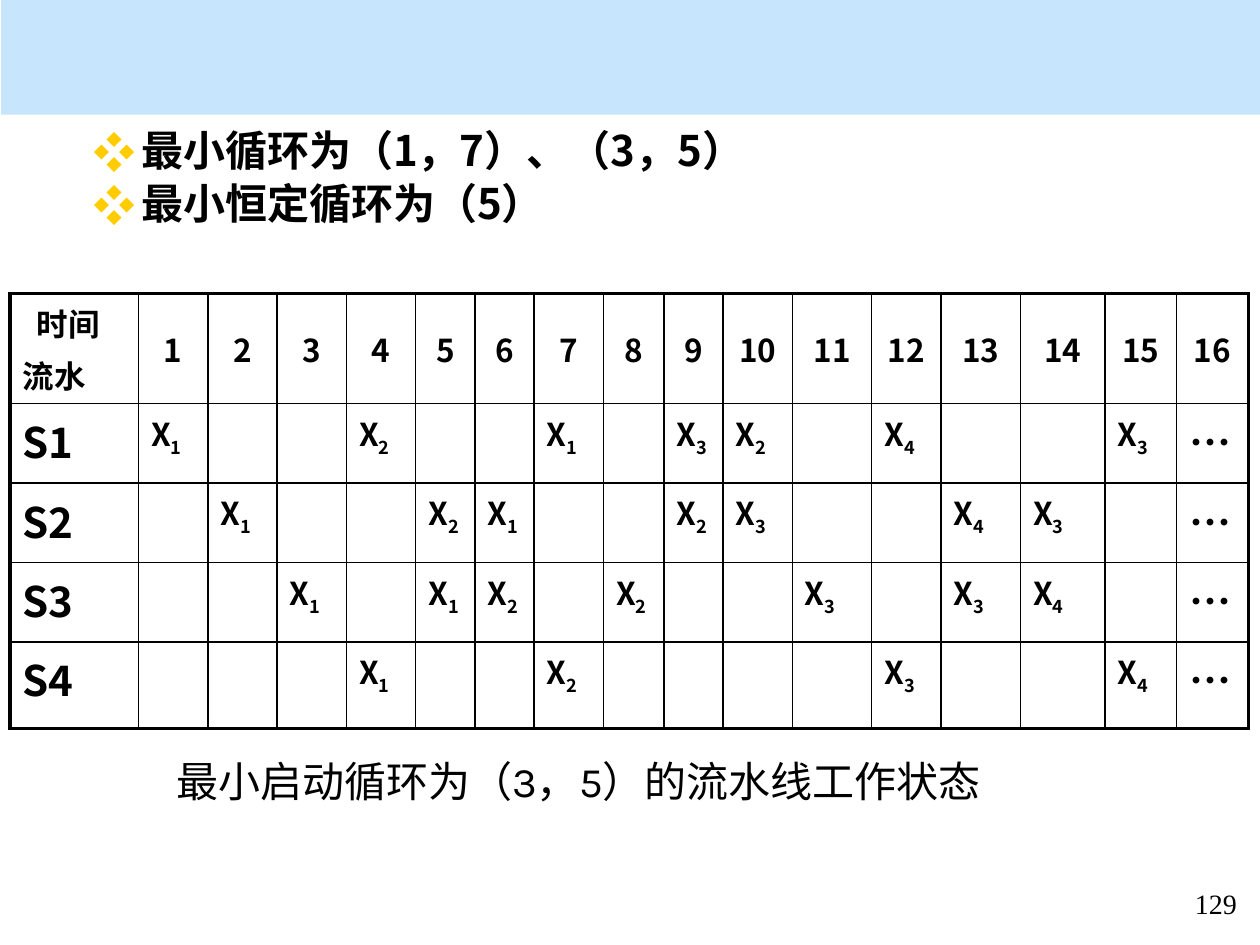
"""Build a slide showing the pipeline schedule for the start cycle (3, 5)."""
from lxml.etree import SubElement
from pptx import Presentation
from pptx.dml.color import RGBColor
from pptx.enum.shapes import MSO_SHAPE
from pptx.enum.text import MSO_ANCHOR, MSO_AUTO_SIZE, PP_ALIGN
from pptx.oxml.ns import qn
from pptx.util import Inches, Pt

BLACK = RGBColor(0x00, 0x00, 0x00)
SKY = RGBColor(0xC7, 0xE6, 0xFD)
GOLD = RGBColor(0xFF, 0xCC, 0x00)
SANS = "Noto Sans CJK SC"

CYCLES = ["最小循环为（1，7）、（3，5）", "最小恒定循环为（5）"]
CAPTION = "最小启动循环为（3，5）的流水线工作状态"
PAGE_NUMBER = "129"
CORNER = ["时间", "流水"]
TIMES = range(1, 17)
STAGES = {
    "S1": {1: 1, 4: 2, 7: 1, 9: 3, 10: 2, 12: 4, 15: 3},
    "S2": {2: 1, 5: 2, 6: 1, 9: 2, 10: 3, 13: 4, 14: 3},
    "S3": {3: 1, 5: 1, 6: 2, 8: 2, 11: 3, 13: 3, 14: 4},
    "S4": {4: 1, 7: 2, 12: 3, 15: 4},
}
COLUMN_WIDTHS = [1.02, 0.55, 0.55, 0.55, 0.55, 0.47, 0.47, 0.55, 0.48,
                 0.47, 0.55, 0.63, 0.55, 0.63, 0.67, 0.57, 0.57]
ROW_HEIGHTS = [0.82, 0.63, 0.63, 0.63, 0.69]

HEADING = {"size": Pt(24), "bold": True, "name": SANS}
LABEL = {"size": Pt(18), "bold": True, "name": SANS}
PLAIN = {"size": Pt(24), "bold": False, "name": "Karla"}
NUMBER = {"size": Pt(16), "bold": False, "name": "Times New Roman"}


def add_span(para, text, style):
    span = para.add_run()
    span.text = text
    for name, value in style.items():
        setattr(span.font, name, value)
    span.font.color.rgb = BLACK
    SubElement(span.font._element, qn("a:ea"), typeface=SANS)
    return span


def add_lines(frame, lines, style, gap=0):
    for index, text in enumerate(lines):
        para = frame.add_paragraph() if index else frame.paragraphs[0]
        para.space_before = Pt(gap if index else 0)
        add_span(para, text, style)
    return frame.paragraphs


def add_text_box(page, place, text, style, align):
    box = page.shapes.add_textbox(*map(Inches, place))
    box.text_frame.word_wrap = True
    add_lines(box.text_frame, [text], style)[0].alignment = align


def set_indent(para, margin, indent):
    properties = para._p.get_or_add_pPr()
    properties.set("marL", str(Inches(margin)))
    properties.set("indent", str(Inches(indent)))
    return properties


def set_borders(cell, outer):
    properties = cell._tc.get_or_add_tcPr()
    for side in "LRTB":
        width = Pt(2.25 if side in outer else 1)
        line = SubElement(properties, qn("a:ln" + side), w=str(width))
        fill = SubElement(line, qn("a:solidFill"))
        SubElement(fill, qn("a:srgbClr"), val=str(BLACK))


def add_cycles(page):
    body = page.placeholders[1]
    body.left, body.top, body.width, body.height = map(
        Inches, (0.64, 0.98, 6.62, 0.94))
    frame = body.text_frame
    frame.auto_size = MSO_AUTO_SIZE.NONE
    for para in add_lines(frame, CYCLES, HEADING, 4.8):
        para.line_spacing = 0.9
        properties = set_indent(para, 0.38, -0.38)
        color = SubElement(properties, qn("a:buClr"))
        SubElement(color, qn("a:srgbClr"), val=str(GOLD))
        SubElement(properties, qn("a:buFont"), typeface=SANS)
        SubElement(properties, qn("a:buChar"), char="❖")


def add_schedule(page):
    last_row, last_column = len(STAGES), len(TIMES)
    table = page.shapes.add_table(
        last_row + 1, last_column + 1, Inches(0.08), Inches(2.33),
        Inches(sum(COLUMN_WIDTHS)), Inches(sum(ROW_HEIGHTS))).table
    table.first_row = table.horz_banding = False
    for column, width in zip(table.columns, COLUMN_WIDTHS):
        column.width = Inches(width)
    for row, height in zip(table.rows, ROW_HEIGHTS):
        row.height = Inches(height)

    for r in range(last_row + 1):
        for c in range(last_column + 1):
            edges = {"L": c == 0, "R": c == last_column,
                     "T": r == 0, "B": r == last_row}
            cell = table.cell(r, c)
            set_borders(cell, [side for side in edges if edges[side]])
            cell.fill.background()

    corner = add_lines(table.cell(0, 0).text_frame, CORNER, LABEL, 3.6)
    set_indent(corner[0], 0.11, 0)
    for time in TIMES:
        cell = table.cell(0, time)
        cell.vertical_anchor = MSO_ANCHOR.MIDDLE
        para = add_lines(cell.text_frame, [str(time)], LABEL)[0]
        para.alignment = PP_ALIGN.CENTER
    for r, (stage, tasks) in enumerate(STAGES.items(), 1):
        add_lines(table.cell(r, 0).text_frame, [stage], HEADING)
        add_lines(table.cell(r, last_column).text_frame, ["…"], HEADING)
        for time, task in tasks.items():
            para = table.cell(r, time).text_frame.paragraphs[0]
            add_span(para, "X", LABEL)
            subscript = add_span(para, str(task), LABEL)
            subscript.font._element.set("baseline", "-25000")


def main():
    deck = Presentation()
    deck.slide_width, deck.slide_height = Inches(10), Inches(7.5)
    page = deck.slides.add_slide(deck.slide_layouts[1])
    title = page.shapes.title._element
    title.getparent().remove(title)

    banner = page.shapes.add_shape(
        MSO_SHAPE.RECTANGLE, *map(Inches, (0.01, 0, 9.99, 0.91)))
    banner.shadow.inherit = False
    banner.fill.solid()
    banner.fill.fore_color.rgb = SKY
    banner.line.fill.background()

    add_cycles(page)
    add_schedule(page)
    add_text_box(page, (1.3, 5.95, 7.01, 0.5), CAPTION, PLAIN, PP_ALIGN.LEFT)
    add_text_box(page, (9.3, 6.99, 0.7, 0.33), PAGE_NUMBER, NUMBER,
                 PP_ALIGN.CENTER)
    deck.save("out.pptx")


if __name__ == "__main__":
    main()
